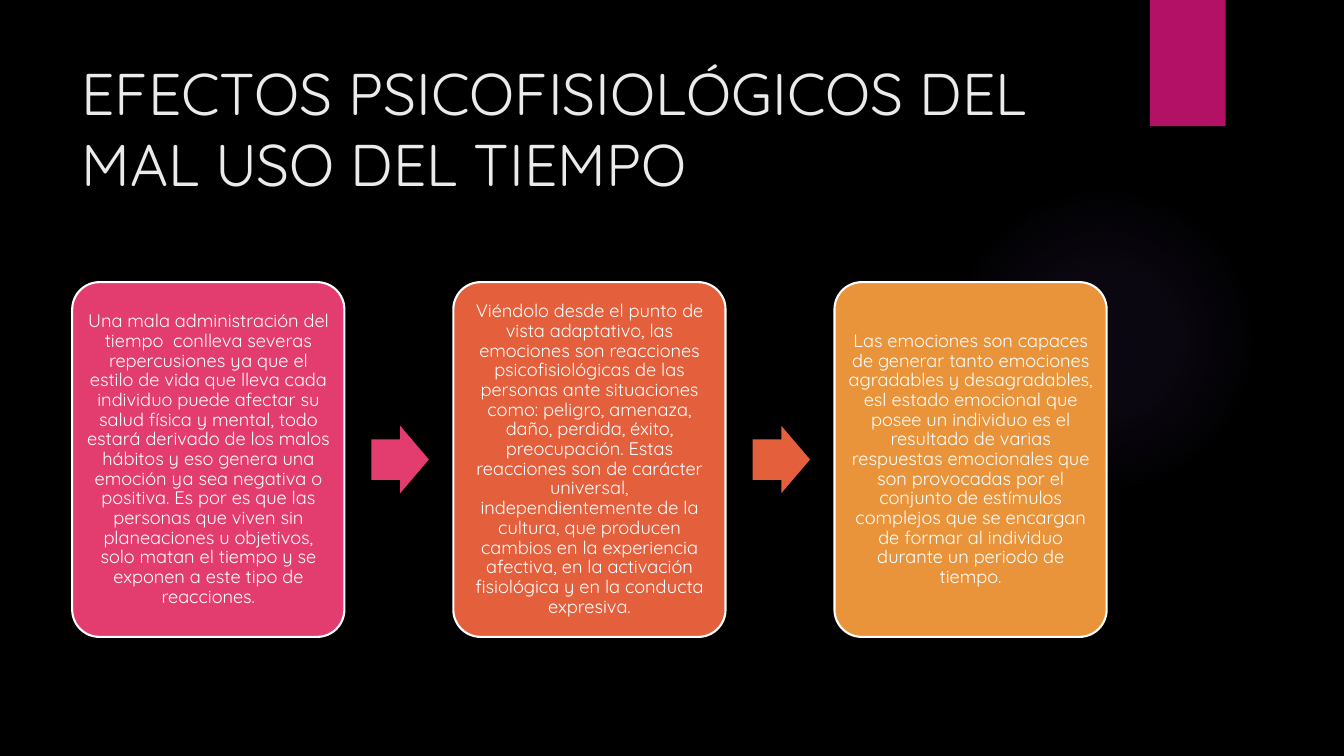
from lxml import etree
from pptx import Presentation
from pptx.dml.color import RGBColor
from pptx.enum.shapes import MSO_SHAPE
from pptx.enum.text import MSO_ANCHOR, MSO_AUTO_SIZE, PP_ALIGN
from pptx.oxml.ns import qn
from pptx.util import Cm, Pt

ELLIPSE = MSO_SHAPE.OVAL
RECTANGLE = MSO_SHAPE.RECTANGLE
ROUNDED = MSO_SHAPE.ROUNDED_RECTANGLE
ARROW = MSO_SHAPE.RIGHT_ARROW
MIDDLE = MSO_ANCHOR.MIDDLE
NO_AUTOFIT = MSO_AUTO_SIZE.NONE
LEFT, CENTER = PP_ALIGN.LEFT, PP_ALIGN.CENTER

BLACK = RGBColor(0x00, 0x00, 0x00)
WHITE = RGBColor(0xFF, 0xFF, 0xFF)
TITLE_GREY = RGBColor(0xEB, 0xEB, 0xEB)
MAGENTA = RGBColor(0xB3, 0x11, 0x66)
VIOLET = RGBColor(0x9B, 0x6B, 0xF2)
PINK = RGBColor(0xE3, 0x3D, 0x6F)
CORAL = RGBColor(0xE4, 0x5F, 0x3C)
AMBER = RGBColor(0xE9, 0x94, 0x3A)

FONT = "Quicksand"
TITLE = "EFECTOS PSICOFISIOLÓGICOS DEL MAL USO DEL TIEMPO"
STEPS = [
    (PINK, "Una mala administración del tiempo  conlleva severas repercusiones "
           "ya que el estilo de vida que lleva cada individuo puede afectar su "
           "salud física y mental, todo estará derivado de los malos hábitos y "
           "eso genera una emoción ya sea negativa o positiva. Es por es que las "
           "personas que viven sin planeaciones u objetivos, solo matan el tiempo "
           "y se exponen a este tipo de reacciones."),
    (CORAL, "Viéndolo desde el punto de vista adaptativo, las emociones son "
            "reacciones psicofisiológicas de las personas ante situaciones como: "
            "peligro, amenaza, daño, perdida, éxito, preocupación. Estas "
            "reacciones son de carácter universal, independientemente de la "
            "cultura, que producen cambios en la experiencia afectiva, en la "
            "activación fisiológica y en la conducta expresiva."),
    (AMBER, "Las emociones son capaces de generar tanto emociones agradables y "
            "desagradables, esl estado emocional que posee un individuo es el "
            "resultado de varias respuestas emocionales que son provocadas por el "
            "conjunto de estímulos complejos que se encargan de formar al "
            "individuo durante un periodo de tiempo."),
]


def add_filled_shape(slide, kind, left, top, width, height, color):
    shape = slide.shapes.add_shape(kind, left, top, width, height)
    shape.shadow.inherit = False
    shape.fill.solid()
    shape.fill.fore_color.rgb = color
    shape.line.fill.background()
    return shape


def add_text(paragraph, text, size, color, alignment):
    paragraph.alignment = alignment
    run = paragraph.add_run()
    run.text = text
    run.font.name = FONT
    run.font.size = Pt(size)
    run.font.color.rgb = color


def add_glow(slide, left, top, diameter):
    """Faint radial glow that fades out towards its edge."""
    glow = add_filled_shape(slide, ELLIPSE, left, top, diameter, diameter, VIOLET)
    solid = glow._element.spPr.find(qn("a:solidFill"))
    gradient = etree.Element(qn("a:gradFill"), rotWithShape="1")
    stops = etree.SubElement(gradient, qn("a:gsLst"))
    for position, opacity in ((0, 7), (36, 6), (69, 0)):
        stop = etree.SubElement(stops, qn("a:gs"), pos=str(position * 1000))
        color = etree.SubElement(stop, qn("a:srgbClr"), val=str(VIOLET))
        etree.SubElement(color, qn("a:alpha"), val=str(opacity * 1000))
    circle = etree.SubElement(gradient, qn("a:path"))
    circle.set("path", "circle")
    etree.SubElement(circle, qn("a:fillToRect"),
                     {side: "50000" for side in ("l", "t", "r", "b")})
    solid.getparent().replace(solid, gradient)


def add_title(slide, left, top, width, height):
    title = slide.shapes.title
    title.left, title.top, title.width, title.height = left, top, width, height
    frame = title.text_frame
    frame.word_wrap = True
    frame.auto_size = NO_AUTOFIT
    frame.vertical_anchor = MIDDLE
    add_text(frame.paragraphs[0], TITLE, 42, TITLE_GREY, LEFT)


def add_card(slide, left, top, width, height, color, text):
    card = add_filled_shape(slide, ROUNDED, left, top, width, height, color)
    card.adjustments[0] = 0.1
    card.line.color.rgb = WHITE
    card.line.width = Pt(1.5)
    frame = card.text_frame
    frame.word_wrap = True
    frame.vertical_anchor = MIDDLE
    frame.margin_left = frame.margin_right = Cm(0.13)
    frame.margin_top = frame.margin_bottom = Cm(0.13)
    paragraph = frame.paragraphs[0]
    paragraph.line_spacing = 0.9
    add_text(paragraph, text, 13, WHITE, CENTER)


def add_process(slide, left, top, width, height):
    """Row of cards, each joined to the next by an arrow in its own colour."""
    card_width = Cm(6.86)
    pitch = (width - card_width) // (len(STEPS) - 1)
    arrow_width, arrow_height = Cm(1.45), Cm(1.7)
    arrow_offset = card_width + Cm(0.68)
    arrow_top = top + (height - arrow_height) // 2
    for index, (color, text) in enumerate(STEPS):
        card_left = left + index * pitch
        add_card(slide, card_left, top, card_width, height, color, text)
        if index < len(STEPS) - 1:
            arrow = add_filled_shape(slide, ARROW, card_left + arrow_offset,
                                     arrow_top, arrow_width, arrow_height, color)
            arrow.adjustments[0] = 0.6
            arrow.adjustments[1] = 0.5


def main():
    presentation = Presentation()
    presentation.slide_width, presentation.slide_height = Cm(33.87), Cm(19.05)
    slide = presentation.slides.add_slide(presentation.slide_layouts[5])
    slide.background.fill.solid()
    slide.background.fill.fore_color.rgb = BLACK

    # Backdrop: glow and bookmark
    add_glow(slide, Cm(23.9), Cm(4.65), Cm(7.82))
    add_filled_shape(slide, RECTANGLE, Cm(28.98), 0, Cm(1.91), Cm(3.18), MAGENTA)

    # Content
    add_title(slide, Cm(1.8), Cm(1.27), Cm(26.14), Cm(3.89))
    add_process(slide, Cm(1.82), Cm(7.11), Cm(26.07), Cm(8.94))

    presentation.save("out.pptx")


if __name__ == "__main__":
    main()
